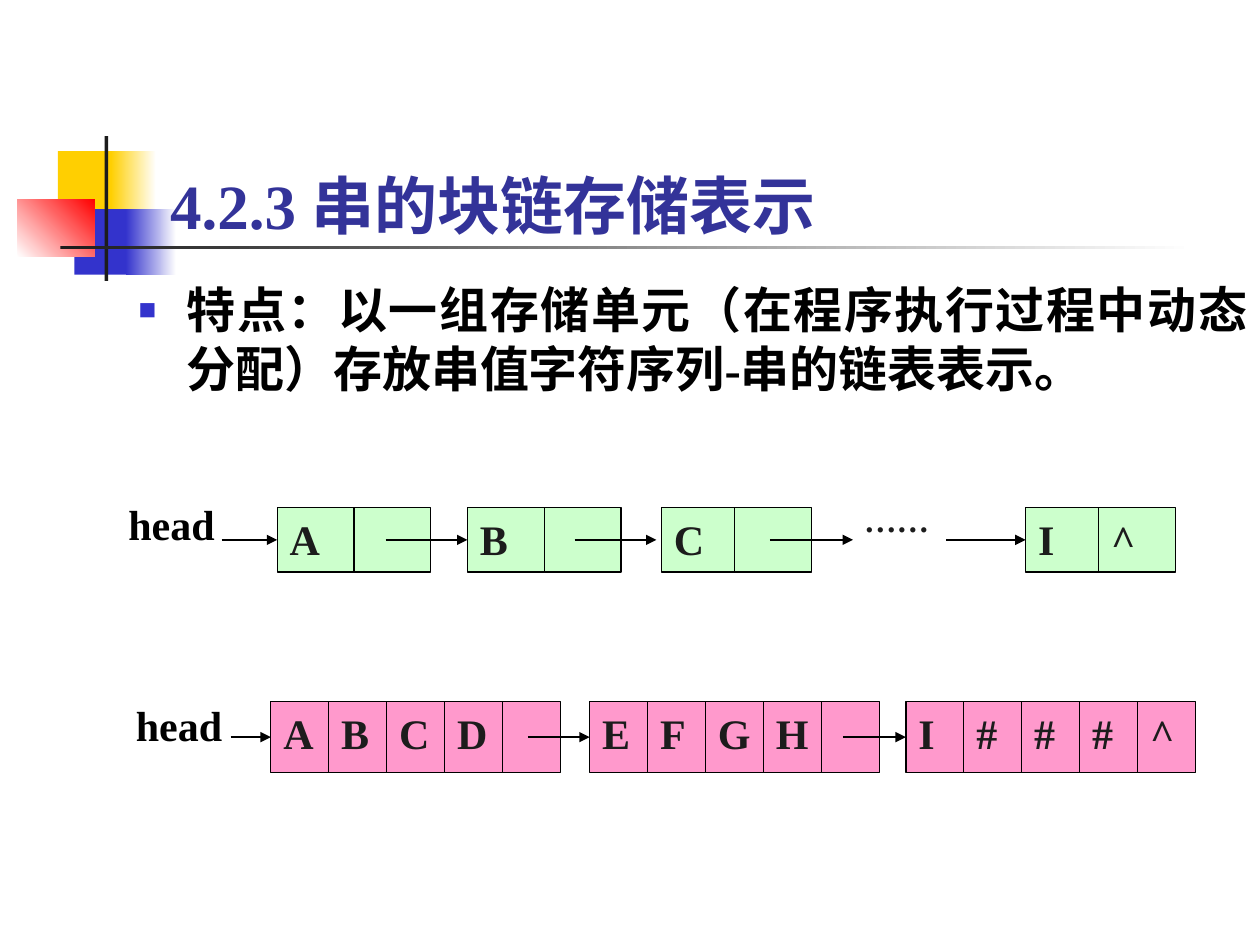
"""Builds a slide on storing a string as a linked list of blocks."""
import pptx
import pptx.dml.color
import pptx.enum.shapes
import pptx.enum.text
import pptx.oxml.ns
import pptx.util
from lxml import etree

Inches = pptx.util.Inches
Pt = pptx.util.Pt
ALIGN = pptx.enum.text.PP_ALIGN
ANCHOR = pptx.enum.text.MSO_ANCHOR

THEME = {
    "font": "Times New Roman",
    "title": "333399", "body": "000000", "ink": "1C1C1C", "line": "000000",
    "yellow": "FFCF01", "blue": "3333CC", "red": "FF0000", "white": "FFFFFF",
    "green": "CCFFCC", "pink": "FF99CC",
    "title_size": 36, "body_size": 28, "label_size": 24, "dots_size": 18.6,
    "line_width": 0.75,
}

TITLE = "4.2.3 串的块链存储表示"
BODY = "特点：以一组存储单元（在程序执行过程中动态分配）存放串值字符序列-串的链表表示。"

DECORATION = [
    ((0.46, 1.2, 0.48, 0.52), ["yellow"], 0),
    ((0.88, 1.2, 0.36, 0.52), ["yellow", "white"], 0),
    ((0.59, 1.66, 0.46, 0.52), ["blue"], 0),
    ((1, 1.66, 0.4, 0.52), ["blue", "white"], 0),
    ((0.14, 1.58, 0.61, 0.46), ["white", "red"], 45),
    ((0.83, 1.08, 0.03, 1.15), ["ink"], 0),
    ((0.48, 1.95, 9, 0.03), ["ink", "white"], 0),
]

CHAINS = [
    {
        "fill": "pink", "top": 5.57, "cell": (0.46, 0.56),
        "nodes": [(2.15, 0.46, ["A", "B", "C", "D", ""]),
                  (4.68, 0.46, ["E", "F", "G", "H", ""]),
                  (7.19, 0.46, ["I", "#", "#", "#", "^"])],
        "arrows": [(1.83, 2.15, 0), (4.19, 4.68, 1), (6.69, 7.19, 2)],
        "labels": [("head", (0.98, 5.5, 1.17, 0.58), "body", "label_size", 1)],
    },
    {
        "fill": "green", "top": 4.03, "cell": (0.61, 0.51),
        "nodes": [(2.2, 0.61, ["A", ""]), (3.71, 0.61, ["B", ""]),
                  (5.25, 0.58, ["C", ""]), (8.14, 0.58, ["I", "^"])],
        "arrows": [(1.76, 2.2, 0), (3.06, 3.71, 1), (4.56, 5.21, None),
                   (6.11, 6.77, None), (7.51, 8.14, 3)],
        "labels": [("head", (0.92, 3.91, 1.01, 0.52), "body", "label_size", 1),
                   ("……", (6.76, 3.98, 0.74, 0.52), "ink", "dots_size", 0.8)],
    },
]


def color(name):
    return pptx.dml.color.RGBColor.from_string(THEME[name])


def inches(values):
    return [Inches(value) for value in values]


def write(box, text, ink, size, align=ALIGN.JUSTIFY, anchor=ANCHOR.TOP):
    frame = box.text_frame
    frame.word_wrap = True
    frame.auto_size = pptx.enum.text.MSO_AUTO_SIZE.NONE
    frame.vertical_anchor = anchor
    para = frame.paragraphs[0]
    para.alignment = align
    span = para.add_run()
    span.text = text
    span.font.name = THEME["font"]
    span.font.size = Pt(THEME[size])
    span.font.bold = True
    span.font.color.rgb = color(ink)
    return para


def add_rectangle(shapes, area, fills, angle=0):
    box = shapes.add_shape(pptx.enum.shapes.MSO_SHAPE.RECTANGLE, *inches(area))
    box.shadow.inherit = False
    box.line.fill.background()
    if len(fills) == 1:
        box.fill.solid()
        box.fill.fore_color.rgb = color(fills[0])
    else:
        box.fill.gradient()
        box.fill.gradient_angle = angle
        for stop, name in zip(box.fill.gradient_stops, fills):
            stop.color.rgb = color(name)
    return box


def style_line(line):
    line.color.rgb = color("line")
    line.width = Pt(THEME["line_width"])


def add_arrow(shapes, start, end, y, target):
    arrow = shapes.add_connector(pptx.enum.shapes.MSO_CONNECTOR.STRAIGHT,
                                 *inches((start, y, end, y)))
    style_line(arrow.line)
    properties = arrow.element.spPr
    tail = etree.SubElement(arrow.line._get_or_add_ln(), pptx.oxml.ns.qn("a:tailEnd"))
    tail.set("type", "triangle")
    etree.SubElement(properties, pptx.oxml.ns.qn("a:effectLst"))
    if target is not None:
        arrow.end_connect(target, 1)


def add_chain(slide, chain):
    shapes = slide.shapes.add_group_shape().shapes
    width, height = chain["cell"]
    heads = []
    for left, pitch, letters in chain["nodes"]:
        cells = []
        for index, letter in enumerate(letters):
            area = (left + index * pitch, chain["top"], width, height)
            cell = add_rectangle(shapes, area, [chain["fill"]])
            style_line(cell.line)
            if letter:
                write(cell, letter, "ink", "label_size")
            cells.append(cell)
        heads.append(cells[0])
    for start, end, node in chain["arrows"]:
        target = None if node is None else heads[node]
        add_arrow(shapes, start, end, chain["top"] + height / 2, target)
    for text, area, ink, size, spacing in chain["labels"]:
        box = shapes.add_textbox(*inches(area))
        write(box, text, ink, size).line_spacing = spacing


def place(box, area):
    box.left, box.top, box.width, box.height = inches(area)


def add_bullet(para):
    properties = para._p.get_or_add_pPr()
    properties.set("marL", str(Inches(0.38)))
    properties.set("indent", str(Inches(-0.38)))
    bullet_color = etree.SubElement(properties, pptx.oxml.ns.qn("a:buClr"))
    etree.SubElement(bullet_color, pptx.oxml.ns.qn("a:srgbClr")).set("val", THEME["blue"])
    etree.SubElement(properties, pptx.oxml.ns.qn("a:buSzPct")).set("val", "60000")
    etree.SubElement(properties, pptx.oxml.ns.qn("a:buChar")).set("char", "■")


def main():
    deck = pptx.Presentation()
    deck.slide_width, deck.slide_height = inches((10, 7.5))
    page = deck.slides.add_slide(deck.slide_layouts[1])
    title, body = page.placeholders
    for position, (area, fills, angle) in enumerate(DECORATION, start=2):
        box = add_rectangle(page.shapes, area, fills, angle)
        page.shapes.element.insert(position, box.element)
    place(title, (1.25, 1.2, 8.5, 0.77))
    write(title, TITLE, "title", "title_size", ALIGN.LEFT, ANCHOR.BOTTOM)
    place(body, (1, 2.17, 9, 2.25))
    para = write(body, BODY, "body", "body_size")
    add_bullet(para)
    para.space_before = Pt(0)
    for chain in CHAINS:
        add_chain(page, chain)
    deck.save("out.pptx")


if __name__ == "__main__":
    main()
